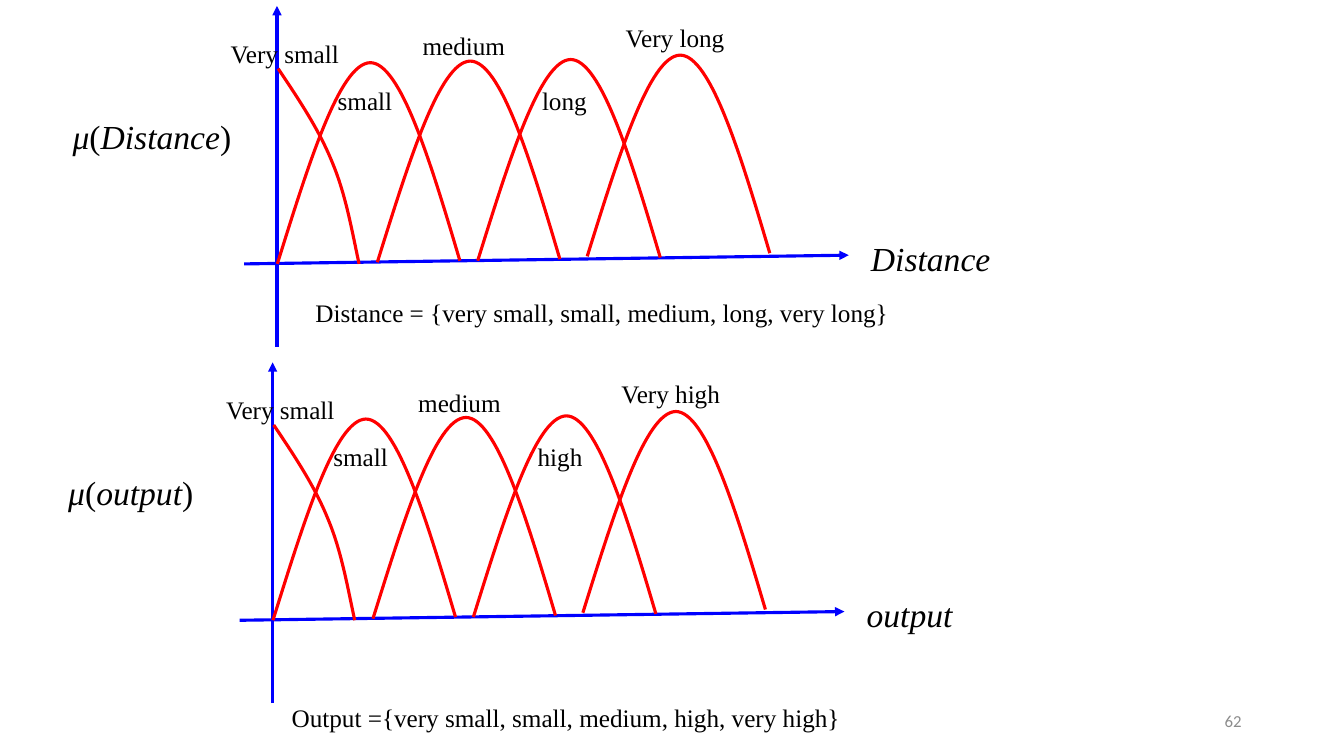
from lxml import etree
from pptx import Presentation
from pptx.dml.color import RGBColor
from pptx.enum.shapes import MSO_CONNECTOR
from pptx.enum.text import MSO_ANCHOR, PP_ALIGN
from pptx.oxml.ns import qn
from pptx.util import Cm, Pt

STRAIGHT = MSO_CONNECTOR.STRAIGHT
LEFT, RIGHT, JUSTIFY = PP_ALIGN.LEFT, PP_ALIGN.RIGHT, PP_ALIGN.JUSTIFY
TOP, MIDDLE = MSO_ANCHOR.TOP, MSO_ANCHOR.MIDDLE

COLORS = {"axis": "0000FF", "curve": "FF0000", "text": "000000", "number": "8C8C8C"}
SERIF, SANS = "Times New Roman", "Calibri"

# Content: one entry per graph, with its offset in cm
GRAPHS = [
    {"offset": (0, 0), "variable": "Distance",
     "sets": ["Very small", "small", "medium", "long", "Very long"]},
    {"offset": (-0.11, 8.98), "variable": "output",
     "sets": ["Very small", "small", "medium", "high", "Very high"]},
]
CAPTIONS = [  # text, left, top, width, alignment
    ("Distance = {very small, small, medium, long, very long}", 7.7, 7.37, 15.09, LEFT),
    ("Output ={very small, small, medium, high, very high}", 7.1, 17.58, 14.63, JUSTIFY),
]
PAGE_NUMBER = "62"

# Geometry of a graph, in cm; curves are a start and two Bezier arcs
AXES = [((6.15, 6.65), (21.39, 6.43)), ((6.98, 8.74), (6.98, 0.15))]
HUMP = [(0, 0), (0.79, -2.53), (1.57, -5.05), (2.34, -5.07),
        (3.1, -5.07), (3.86, -2.58), (4.6, -0.08)]
HUMP_STARTS = [(6.99, 6.65), (9.51, 6.61), (12.04, 6.57), (14.8, 6.46)]
FALLING = [(7.01, 1.73), (7.52, 2.49), (8.03, 3.25), (8.36, 4.06),
           (8.71, 4.88), (8.86, 5.77), (9.05, 6.65)]
LABEL_SPOTS = [(5.56, 0.83, 3.43), (8.26, 2.02, 1.9), (10.4, 0.65, 2.62),
               (13.41, 2.02, 1.65), (15.52, 0.44, 3.02)]  # left, top, width

prs = Presentation()
prs.slide_width, prs.slide_height = Cm(33.87), Cm(19.05)
s = prs.slides.add_slide(prs.slide_layouts[6])


def style_line(shape, color):
    shape.line.color.rgb = RGBColor.from_string(COLORS[color])
    shape.line.width = Pt(2.25)


def add_axis(start, end):
    line = s.shapes.add_connector(STRAIGHT, *(Cm(v) for v in start + end))
    style_line(line, "axis")
    etree.SubElement(line.line._get_or_add_ln(), qn("a:tailEnd"), type="triangle")
    etree.SubElement(line._element.spPr, qn("a:effectLst"))


def add_curve(nodes):
    points = [(Cm(x), Cm(y)) for x, y in nodes]
    builder = s.shapes.build_freeform(*points[0])
    builder.add_line_segments(points[1:], close=False)
    curve = builder.convert_to_shape()
    # Turn each three segments into one Bezier arc
    segments = list(curve._element.iter(qn("a:lnTo")))
    outline = segments[0].getparent()
    for i in range(0, len(segments), 3):
        arc = etree.SubElement(outline, qn("a:cubicBezTo"))
        for segment in segments[i:i + 3]:
            arc.append(segment[0])
            outline.remove(segment)
    curve.shadow.inherit = False
    curve.fill.background()
    style_line(curve, "curve")


def add_text(runs, left, top, width, height=1.02, size=18, font=SERIF,
             color="text", align=LEFT, anchor=TOP):
    """Each run is a (text, italic) pair."""
    sp = s.shapes.add_textbox(Cm(left), Cm(top), Cm(width), Cm(height))
    tf = sp.text_frame
    tf.word_wrap = True
    tf.vertical_anchor = anchor
    p = tf.paragraphs[0]
    p.alignment = align
    for text, italic in runs:
        r = p.add_run()
        r.text = text
        r.font.name, r.font.size, r.font.italic = font, Pt(size), italic
        r.font.color.rgb = RGBColor.from_string(COLORS[color])


def shift(point, offset):
    return point[0] + offset[0], point[1] + offset[1]


for graph in GRAPHS:
    dx, dy = offset = graph["offset"]

    # Axes
    for start, end in AXES:
        add_axis(shift(start, offset), shift(end, offset))

    # Membership curves
    for hump_start in HUMP_STARTS:
        origin = shift(hump_start, offset)
        add_curve([shift(node, origin) for node in HUMP])
    add_curve([shift(node, offset) for node in FALLING])

    # Set labels
    for name, (left, top, width) in zip(graph["sets"], LABEL_SPOTS):
        add_text([(name, False)], left + dx, top + dy, width)

    # Axis names
    variable = graph["variable"]
    add_text([(variable, True)], 21.7 + dx, 5.87 + dy, 4.47, 1.27, size=24)
    add_text([("μ", True), ("(", False), (variable, True), (")", False)],
             1.58 + dx, 2.79 + dy, 4.9, 1.27, size=24)

# Captions
for text, left, top, width, align in CAPTIONS:
    add_text([(text, False)], left, top, width, align=align)

# Page number
add_text([(PAGE_NUMBER, False)], 23.92, 17.65, 7.62, size=12, font=SANS,
         color="number", align=RIGHT, anchor=MIDDLE)

prs.save("out.pptx")
